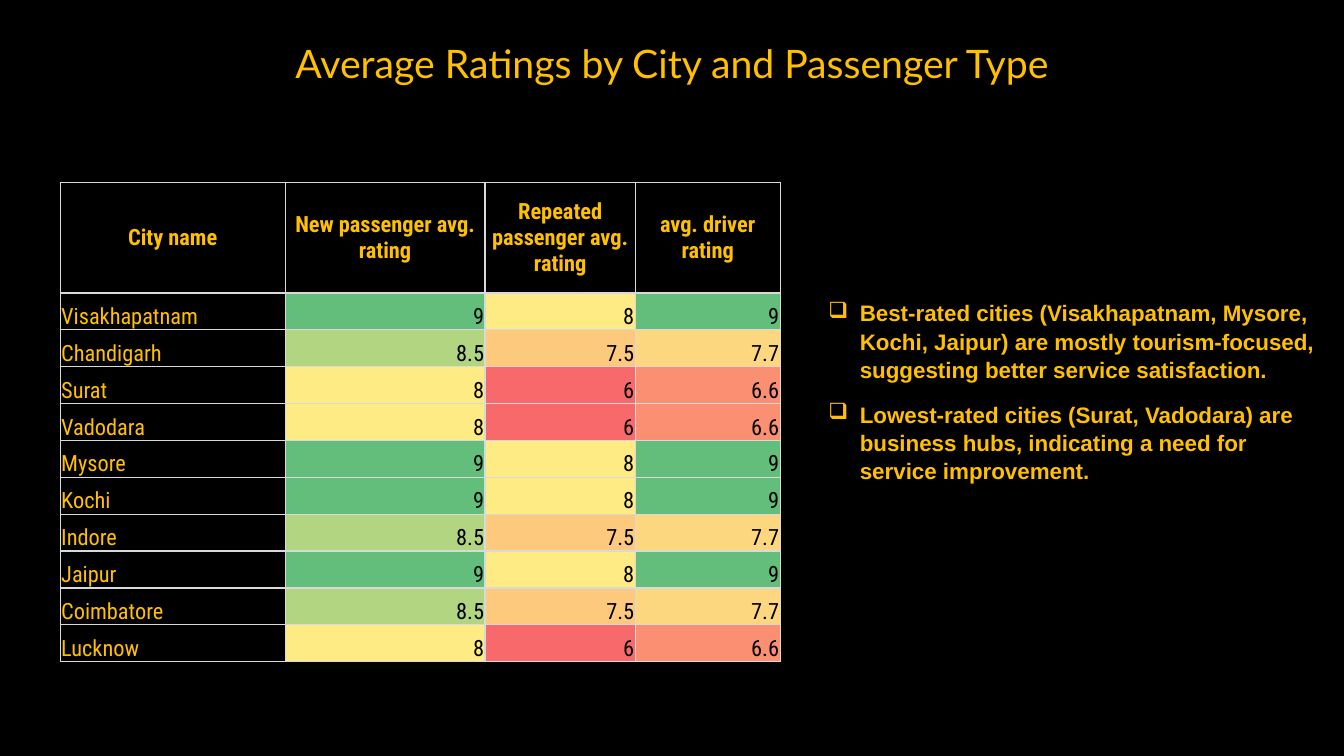
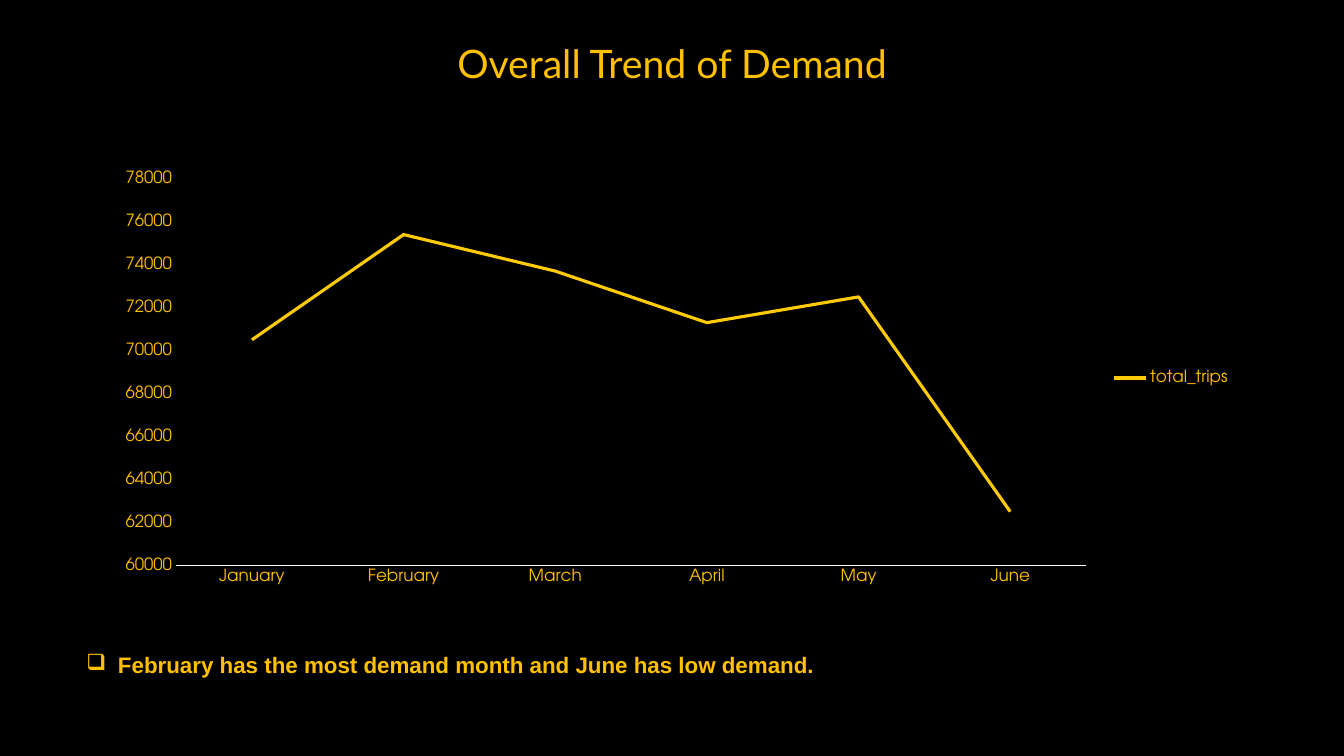
from dataclasses import dataclass

import pptx
import pptx.chart.data
import pptx.dml.color
import pptx.enum.chart
import pptx.enum.text
import pptx.oxml.ns
import pptx.util
from lxml import etree

Pt = pptx.util.Pt
Align = pptx.enum.text.PP_ALIGN
Anchor = pptx.enum.text.MSO_ANCHOR


@dataclass(frozen=True)
class Theme:
    ground: str = "000000"
    accent: str = "FFC000"
    trend: str = "FFCA08"
    axis: str = "FFFFFF"
    border: str = "D9D9D9"
    title_font: str = "Lato"
    body_font: str = "Arial"
    table_font: str = "Roboto Condensed"
    chart_font: str = "TeX Gyre Adventor"
    title_size: int = 28
    body_size: int = 16
    chart_size: int = 12


RATING_COLOURS = {
    9: "63BE7B", 8.5: "B1D580", 8: "FFEB84", 7.7: "FDD780",
    7.5: "FDCA7D", 6.6: "FA8F72", 6: "F8696B",
}
HEADINGS = ["City name", "New passenger avg. rating",
            "Repeated passenger avg. rating", "avg. driver rating"]
HIGH, MIDDLE, LOW = (9, 8, 9), (8.5, 7.5, 7.7), (8, 6, 6.6)
CITY_RATINGS = {
    "Visakhapatnam": HIGH, "Chandigarh": MIDDLE, "Surat": LOW,
    "Vadodara": LOW, "Mysore": HIGH, "Kochi": HIGH, "Indore": MIDDLE,
    "Jaipur": HIGH, "Coimbatore": MIDDLE, "Lucknow": LOW,
}
MONTHLY_TRIPS = {
    "January": 70500, "February": 75400, "March": 73700,
    "April": 71300, "May": 72500, "June": 62500,
}


def rgb(colour):
    return pptx.dml.color.RGBColor.from_string(colour)


def add_xml(parent, tag, **attributes):
    return etree.SubElement(parent, pptx.oxml.ns.qn(tag), attributes)


class Deck:
    """Holds the style and the current slide, and adds each kind of element."""

    def __init__(self, theme):
        self.theme = theme
        self.presentation = pptx.Presentation()
        self.presentation.slide_width = Pt(960)
        self.presentation.slide_height = Pt(540)
        self.slide = None

    def style(self, font, face, size, colour=None, bold=False):
        font.name, font.size, font.bold = face, Pt(size), bold
        font.color.rgb = rgb(colour or self.theme.accent)

    def text_frame(self, left, top, width, height):
        box = self.slide.shapes.add_textbox(Pt(left), Pt(top), Pt(width), Pt(height))
        box.text_frame.word_wrap = True
        return box.text_frame

    def start_slide(self, title):
        self.slide = self.presentation.slides.add_slide(self.presentation.slide_layouts[6])
        ground = self.slide.background.fill
        ground.solid()
        ground.fore_color.rgb = rgb(self.theme.ground)
        heading = self.text_frame(96, 24.5, 768, 41).paragraphs[0]
        heading.text = title
        heading.alignment = Align.CENTER
        self.style(heading.font, self.theme.title_font, self.theme.title_size)

    def findings(self, left, top, width, height, lines, level=0):
        frame = self.text_frame(left, top, width, height)
        for index, line in enumerate(lines):
            finding = frame.add_paragraph() if index else frame.paragraphs[0]
            finding.text = line
            finding.level = level
            properties = finding._p.get_or_add_pPr()
            properties.set("marL", str(Pt(22.5 + 36 * level)))
            properties.set("indent", str(Pt(-22.5)))
            add_xml(properties, "a:buChar", char="❑")
            finding.line_spacing = 1.05
            finding.space_after = Pt(12)
            self.style(finding.font, self.theme.body_font, self.theme.body_size, bold=True)

    def cell(self, cell, text, fill, colour, align, anchor, bold=False):
        cell.margin_left = cell.margin_right = cell.margin_top = Pt(0.75)
        cell.margin_bottom = 0
        cell.vertical_anchor = anchor
        label = cell.text_frame.paragraphs[0]
        label.text = text
        label.alignment = align
        self.style(label.font, self.theme.table_font, self.theme.body_size, colour, bold)
        properties = cell._tc.get_or_add_tcPr()
        for side in ("a:lnL", "a:lnR", "a:lnT", "a:lnB"):
            line = add_xml(properties, side, w=str(Pt(1)))
            add_xml(add_xml(line, "a:solidFill"), "a:srgbClr", val=self.theme.border)
        cell.fill.solid()
        cell.fill.fore_color.rgb = rgb(fill)

    def ratings_table(self, left, top, widths, header_height, row_height):
        theme = self.theme
        total_height = header_height + row_height * len(CITY_RATINGS)
        table = self.slide.shapes.add_table(
            len(CITY_RATINGS) + 1, len(HEADINGS),
            Pt(left), Pt(top), Pt(sum(widths)), Pt(total_height)).table
        table.first_row = table.horz_banding = False
        for column, width in zip(table.columns, widths):
            column.width = Pt(width)
        for row in table.rows:
            row.height = Pt(row_height)
        table.rows[0].height = Pt(header_height)
        for column, heading in enumerate(HEADINGS):
            self.cell(table.cell(0, column), heading, theme.ground, theme.accent,
                      Align.CENTER, Anchor.MIDDLE, bold=True)
        for row, (city, ratings) in enumerate(CITY_RATINGS.items(), 1):
            self.cell(table.cell(row, 0), city, theme.ground, theme.accent,
                      Align.LEFT, Anchor.BOTTOM)
            for column, rating in enumerate(ratings, 1):
                self.cell(table.cell(row, column), str(rating), RATING_COLOURS[rating],
                          theme.ground, Align.RIGHT, Anchor.BOTTOM)

    def trips_chart(self, left, top, width, height):
        theme = self.theme
        trips = pptx.chart.data.CategoryChartData()
        trips.categories = list(MONTHLY_TRIPS)
        trips.add_series("total_trips", list(MONTHLY_TRIPS.values()))
        chart = self.slide.shapes.add_chart(
            pptx.enum.chart.XL_CHART_TYPE.LINE,
            Pt(left), Pt(top), Pt(width), Pt(height), trips).chart
        self.style(chart.font, theme.chart_font, theme.chart_size)
        chart.has_title = False
        chart.has_legend = True
        chart.legend.position = pptx.enum.chart.XL_LEGEND_POSITION.RIGHT
        chart.legend.include_in_layout = False
        chart.plots[0].vary_by_categories = False
        trend = chart.plots[0].series[0]
        trend.smooth = False
        trend.format.line.color.rgb = rgb(theme.trend)
        trend.format.line.width = Pt(2.25)
        months, counts = chart.category_axis, chart.value_axis
        for axis in (months, counts):
            axis.has_major_gridlines = False
            axis.major_tick_mark = pptx.enum.chart.XL_TICK_MARK.NONE
        months.format.line.color.rgb = rgb(theme.axis)
        months.format.line.width = Pt(0.75)
        counts.format.line.fill.background()
        counts.minimum_scale, counts.maximum_scale = 60000, 78000
        counts.major_unit = 2000


def main():
    deck = Deck(Theme())
    deck.start_slide("Average Ratings by City and Passenger Type")
    deck.ratings_table(43, 130.3, (160.7, 142.8, 107.3, 103.5), 79, 26.35)
    deck.findings(584.6, 209.5, 362.2, 154.8, [
        "Best-rated cities (Visakhapatnam, Mysore, Kochi, Jaipur) are mostly "
        "tourism-focused, suggesting better service satisfaction.",
        "Lowest-rated cities (Surat, Vadodara) are business hubs, indicating "
        "a need for service improvement.",
    ])
    deck.start_slide("Overall Trend of Demand")
    deck.findings(18.7, 460.8, 712.8, 26.6, [
        "February has the most demand month and June has low demand.",
    ], level=1)
    deck.trips_chart(73.4, 115.9, 813.6, 308.2)
    deck.presentation.save("out.pptx")


if __name__ == "__main__":
    main()
